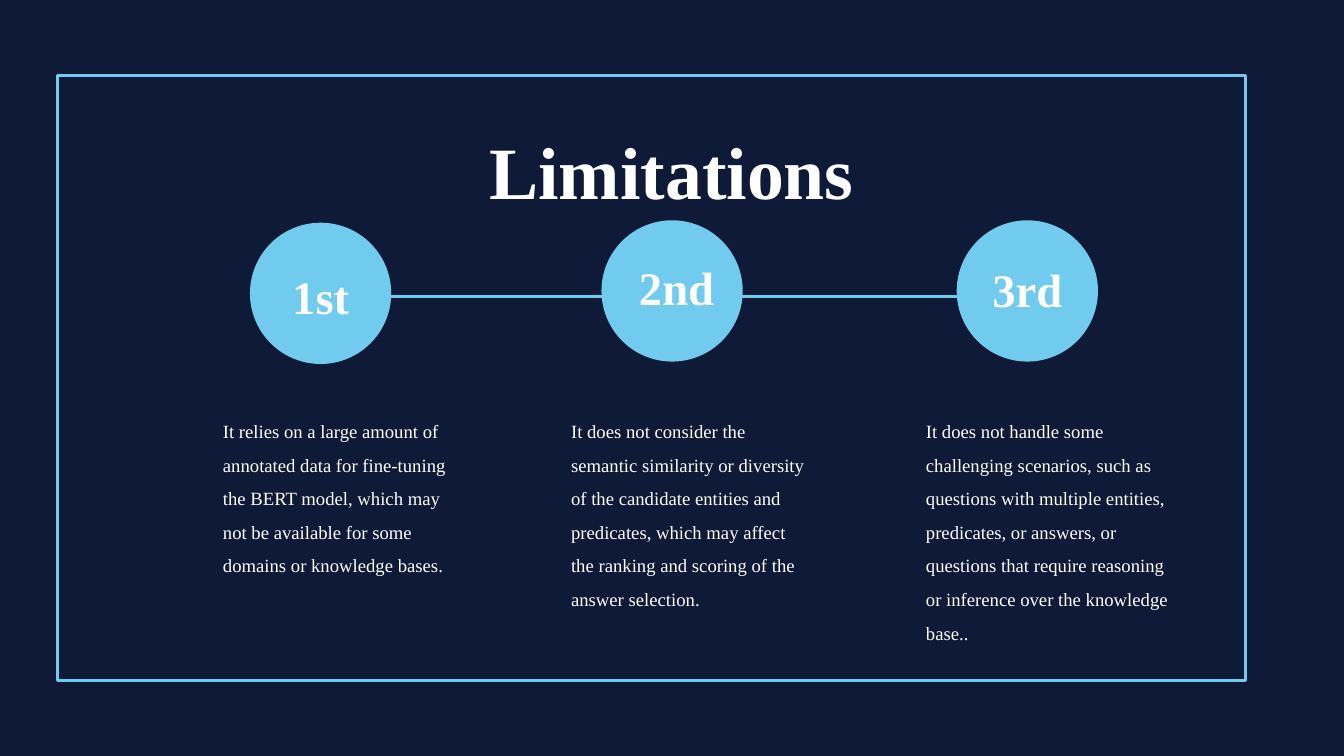
from dataclasses import dataclass

from lxml import etree
from pptx import Presentation
from pptx.dml.color import RGBColor
from pptx.enum.shapes import MSO_CONNECTOR, MSO_SHAPE
from pptx.enum.text import MSO_AUTO_SIZE, PP_ALIGN
from pptx.oxml.ns import qn
from pptx.slide import Slide
from pptx.util import Pt

STRAIGHT = MSO_CONNECTOR.STRAIGHT
RECTANGLE = MSO_SHAPE.RECTANGLE
OVAL = MSO_SHAPE.OVAL
LEFT = PP_ALIGN.LEFT
CENTER = PP_ALIGN.CENTER
NO_FIT = MSO_AUTO_SIZE.NONE
GROW = MSO_AUTO_SIZE.SHAPE_TO_FIT_TEXT

COLORS = {"navy": "0F1A38", "sky": "71CBEF", "white": "FFFFFF"}
FONT = "Times New Roman"
DIAMETER = 151.4
DETAIL_TOP = 430.6

Box = tuple[float, float, float, float]


@dataclass(frozen=True)
class Limitation:
    ordinal: str
    detail: str
    circle_at: tuple[float, float]
    ordinal_at: tuple[float, float]
    ordinal_width: float
    detail_left: float
    detail_width: float


LIMITATIONS = [
    Limitation(
        "1st",
        "It relies on a large amount of annotated data for fine-tuning the BERT model, "
        "which may not be available for some domains or knowledge bases.",
        (267.8, 238.6), (306, 279.4), 89.3, 195.8, 302.4,
    ),
    Limitation(
        "2nd",
        "It does not consider the semantic similarity or diversity of the candidate "
        "entities and predicates, which may affect the ranking and scoring of the "
        "answer selection.",
        (644.4, 236), (677.5, 270), 95.8, 568.8, 302.4,
    ),
    Limitation(
        "3rd",
        "It does not handle some challenging scenarios, such as questions with multiple "
        "entities, predicates, or answers, or questions that require reasoning or "
        "inference over the knowledge base..",
        (1025, 236), (1056.2, 272.2), 95.8, 949, 321.8,
    ),
]


def color(name: str) -> RGBColor:
    return RGBColor.from_string(COLORS[name])


def add_text(slide: Slide, text: str, box: Box, *, size: float, bold: bool = False,
             align: PP_ALIGN = LEFT, spacing: float = 1.0, inset: float = 7.2,
             indent: float = 0, fit: MSO_AUTO_SIZE = NO_FIT) -> None:
    frame = slide.shapes.add_textbox(*map(Pt, box)).text_frame
    frame.word_wrap = True
    frame.auto_size = fit
    frame.margin_left = frame.margin_right = Pt(inset)
    frame.margin_top = frame.margin_bottom = Pt(inset)
    paragraph = frame.paragraphs[0]
    paragraph.alignment = align
    paragraph.line_spacing = spacing
    if indent:
        properties = paragraph._p.get_or_add_pPr()
        properties.set("marL", str(Pt(indent)))
        properties.set("indent", "0")
    run = paragraph.add_run()
    run.text = text
    run.font.name = FONT
    run.font.size = Pt(size)
    run.font.bold = bold
    run.font.color.rgb = color("white")


def add_frame(slide: Slide, box: Box) -> None:
    border = slide.shapes.add_shape(RECTANGLE, *map(Pt, box))
    border.shadow.inherit = False
    border.fill.background()
    border.line.color.rgb = color("sky")
    border.line.width = Pt(3)


def add_timeline(slide: Slide, start: float, end: float, y: float) -> None:
    timeline = slide.shapes.add_connector(STRAIGHT, Pt(start), Pt(y), Pt(end), Pt(y))
    timeline.line.color.rgb = color("sky")
    timeline.line.width = Pt(3.75)
    etree.SubElement(timeline._element.spPr, qn("a:effectLst"))


def add_circle(slide: Slide, limitation: Limitation) -> None:
    left, top = limitation.circle_at
    circle = slide.shapes.add_shape(OVAL, Pt(left), Pt(top), Pt(DIAMETER), Pt(DIAMETER))
    circle.shadow.inherit = False
    circle.fill.solid()
    circle.fill.fore_color.rgb = color("sky")
    circle.line.fill.background()


def add_labels(slide: Slide, limitation: Limitation) -> None:
    add_text(slide, limitation.detail,
             (limitation.detail_left, DETAIL_TOP, limitation.detail_width, 275),
             size=20, spacing=1.5, indent=36)
    add_text(slide, limitation.ordinal,
             (*limitation.ordinal_at, limitation.ordinal_width, 95.8),
             size=50, bold=True)


def main() -> None:
    deck = Presentation()
    deck.slide_width, deck.slide_height = Pt(1440), Pt(810)
    slide = deck.slides.add_slide(deck.slide_layouts[6])
    slide.background.fill.solid()
    slide.background.fill.fore_color.rgb = color("navy")

    add_frame(slide, (61.2, 81, 1273.7, 648))
    add_timeline(slide, 280, 1162, 317.5)
    for limitation in LIMITATIONS:
        add_circle(slide, limitation)
    add_text(slide, "Limitations", (80.6, 116, 1278, 95.8), size=79, bold=True,
             align=CENTER, spacing=1.2, inset=0, fit=GROW)
    for limitation in LIMITATIONS:
        add_labels(slide, limitation)

    deck.save("out.pptx")


if __name__ == "__main__":
    main()
